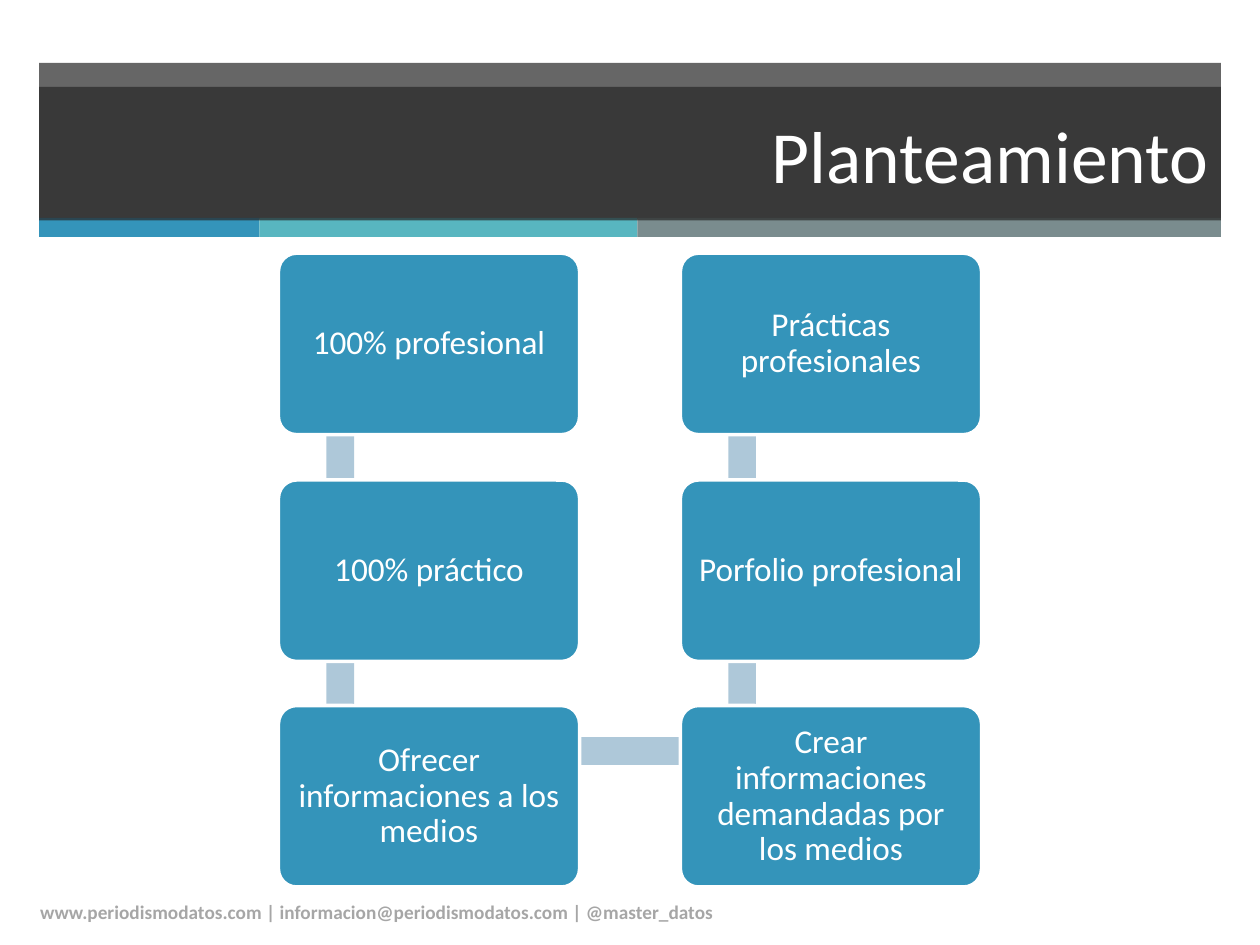
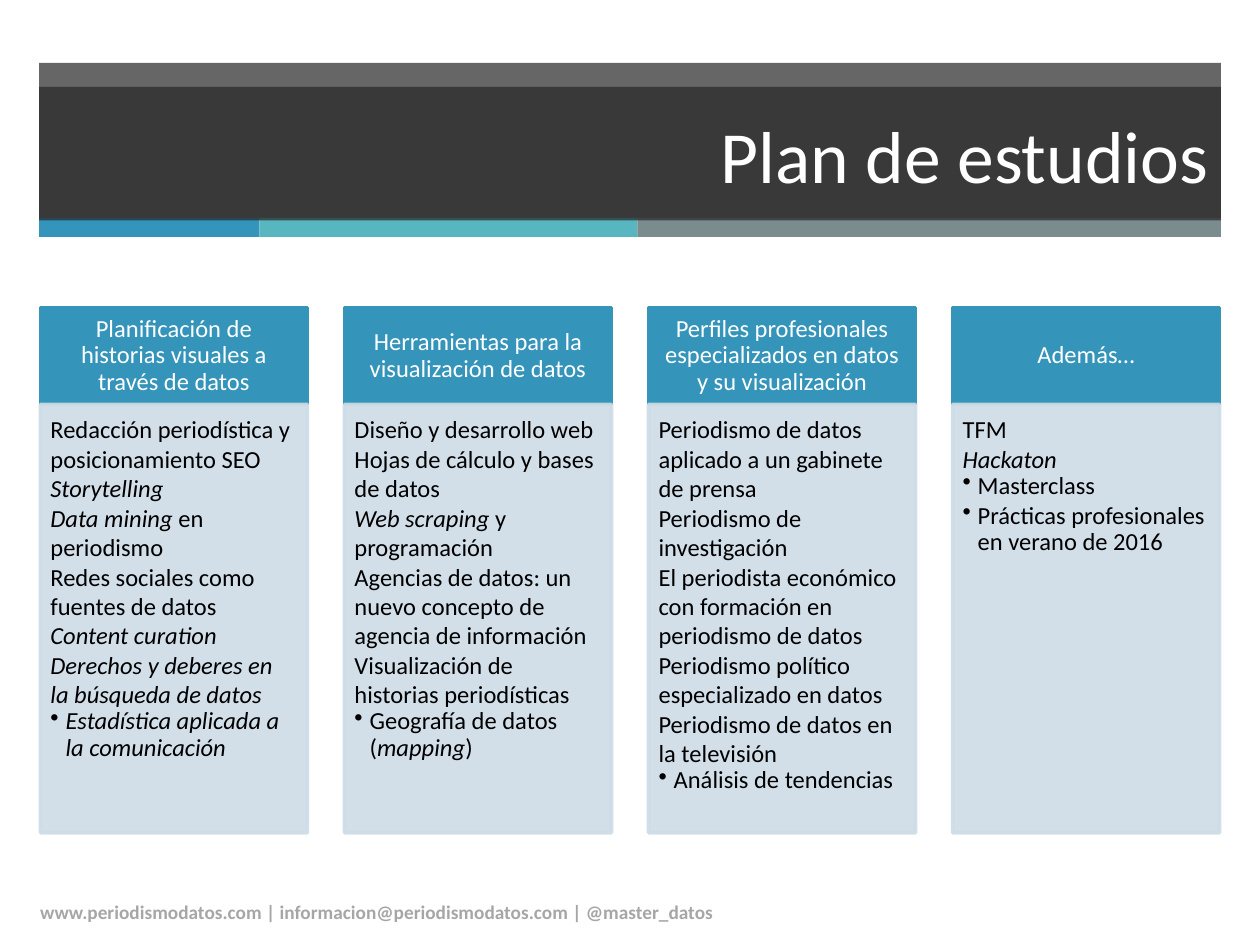
"""Build two slides that present the approach and syllabus of a data journalism course."""
from lxml.etree import SubElement
from pptx import Presentation
from pptx.dml.color import RGBColor
from pptx.enum.shapes import MSO_SHAPE
from pptx.enum.text import MSO_ANCHOR, PP_ALIGN
from pptx.oxml.ns import qn
from pptx.util import Inches, Pt

FLOW_TITLE = "Planteamiento"
FLOW_COLUMNS = [
    ["100% profesional", "100% práctico", "Ofrecer informaciones a los medios"],
    ["Prácticas profesionales", "Porfolio profesional",
     "Crear informaciones demandadas por los medios"],
]
SYLLABUS_TITLE = "Plan de estudios"
SYLLABUS = [
    {"heading": "Planificación de historias visuales a través de datos",
     "plain": ["Redacción periodística y posicionamiento SEO", "*Storytelling*",
               "*Data mining* en periodismo", "Redes sociales como fuentes de datos",
               "*Content curation*", "*Derechos y deberes en la búsqueda de datos*"],
     "bulleted": ["*Estadística aplicada a la comunicación*"]},
    {"heading": "Herramientas para la visualización de datos",
     "plain": ["Diseño y desarrollo web", "Hojas de cálculo y bases de datos",
               "*Web scraping* y programación",
               "Agencias de datos: un nuevo concepto de agencia de información",
               "Visualización de historias periodísticas"],
     "bulleted": ["Geografía de datos (*mapping*)"]},
    {"heading": "Perfiles profesionales especializados en datos y su visualización",
     "plain": ["Periodismo de datos aplicado a un gabinete de prensa",
               "Periodismo de investigación",
               "El periodista económico con formación en periodismo de datos",
               "Periodismo político especializado en datos",
               "Periodismo de datos en la televisión"],
     "bulleted": ["Análisis de tendencias"]},
    {"heading": "Además…",
     "plain": ["TFM", "*Hackaton*"],
     "bulleted": ["Masterclass", "Prácticas profesionales en verano de 2016"]},
]
FOOTER = "www.periodismodatos.com | informacion@periodismodatos.com | @master_datos"

FONT = "Calibri"
WHITE = RGBColor(0xFF, 0xFF, 0xFF)
BLACK = RGBColor(0x00, 0x00, 0x00)
CHARCOAL = RGBColor(0x26, 0x26, 0x26)
BLUE = RGBColor(0x34, 0x94, 0xBA)
TEAL = RGBColor(0x58, 0xB6, 0xC0)
SLATE = RGBColor(0x7A, 0x8C, 0x8E)
LINK_BLUE = RGBColor(0xAE, 0xC8, 0xD9)
PALE_BLUE = RGBColor(0xCE, 0xDC, 0xE7)
FOOTER_GRAY = RGBColor(0xA6, 0xA6, 0xA6)

MARGIN, BAND_WIDTH = 0.31, 9.38
STRIPES = [(1.75, BLUE), (3, TEAL), (4.63, SLATE)]
FLOW_LEFTS, FLOW_TOPS = (2.21, 5.4), (2.01, 3.81, 5.6)
STEP_WIDTH, STEP_HEIGHT = 2.39, 1.44
LINK_THICKNESS, LINK_INSET, LINK_DROP = 0.22, 0.38, 0.35
COURSE_LEFT, COURSE_SPAN, COURSE_WIDTH = 0.32, 9.36, 2.12
HEADING_TOP, HEADING_HEIGHT, BODY_HEIGHT = 2.44, 0.77, 3.4


def set_opacity(shape, percent):
    for colour in shape.element.spPr.iter(qn("a:srgbClr")):
        SubElement(colour, qn("a:alpha"), val=str(percent * 1000))


def add_block(page, kind, place, fill, line=None):
    block = page.shapes.add_shape(kind, *map(Inches, place))
    block.shadow.inherit = False
    block.fill.solid()
    block.fill.fore_color.rgb = fill
    if line is None:
        block.line.fill.background()
    else:
        block.line.color.rgb = line
        block.line.width = Pt(2)
    return block


def set_insets(frame, left, top, right, bottom):
    frame.word_wrap = True
    frame.margin_left, frame.margin_top = Inches(left), Inches(top)
    frame.margin_right, frame.margin_bottom = Inches(right), Inches(bottom)


def style(paragraph, size, colour, align=PP_ALIGN.LEFT, spacing=1.0):
    paragraph.alignment = align
    paragraph.line_spacing = spacing
    paragraph.font.name = FONT
    paragraph.font.size = Pt(size)
    paragraph.font.color.rgb = colour


def write_label(block, text, size):
    block.text_frame.vertical_anchor = MSO_ANCHOR.MIDDLE
    block.text_frame.text = text
    style(block.text_frame.paragraphs[0], size, WHITE, PP_ALIGN.CENTER, 0.9)


def write_marked(paragraph, text):
    for index, part in enumerate(text.split("*")):
        if part:
            span = paragraph.add_run()
            span.text = part
            if index % 2:
                span.font.italic = True


def add_bullet(paragraph):
    properties = paragraph._p.get_or_add_pPr()
    properties.set("marL", str(Inches(0.12)))
    properties.set("indent", str(-Inches(0.12)))
    SubElement(properties, qn("a:buChar"), char="•")


def start_page(deck, title):
    page = deck.slides.add_slide(deck.slide_layouts[5])
    band = add_block(page, MSO_SHAPE.RECTANGLE, (MARGIN, 0.5, BAND_WIDTH, 1.24), CHARCOAL)
    set_opacity(band, 70)
    left = MARGIN
    for width, colour in STRIPES:
        add_block(page, MSO_SHAPE.RECTANGLE, (left, 1.73, width, 0.15), colour)
        left += width

    heading = page.shapes.title
    heading.element.getparent().append(heading.element)
    heading.left, heading.top = Inches(MARGIN), Inches(0.69)
    heading.width, heading.height = Inches(BAND_WIDTH), Inches(1.06)
    heading.fill.solid()
    heading.fill.fore_color.rgb = CHARCOAL
    set_opacity(heading, 70)
    heading.text_frame.text = title
    heading.text_frame.vertical_anchor = MSO_ANCHOR.MIDDLE
    style(heading.text_frame.paragraphs[0], 42, WHITE, PP_ALIGN.RIGHT)

    footer = page.shapes.add_textbox(Inches(0.22), Inches(7.04), Inches(6.7), Inches(0.4))
    footer.text_frame.word_wrap = True
    footer.text_frame.vertical_anchor = MSO_ANCHOR.MIDDLE
    footer.text_frame.text = FOOTER
    paragraph = footer.text_frame.paragraphs[0]
    style(paragraph, 11, FOOTER_GRAY)
    paragraph.font.bold = True
    return page


def build_flow(deck):
    page = start_page(deck, FLOW_TITLE)
    links = [(left + LINK_INSET, top + LINK_DROP, LINK_THICKNESS, 1.79)
             for left in FLOW_LEFTS for top in FLOW_TOPS[:-1]]
    links.append((FLOW_LEFTS[0] + 0.49, FLOW_TOPS[-1] + 0.25, 3.17, LINK_THICKNESS))
    for place in links:
        add_block(page, MSO_SHAPE.RECTANGLE, place, LINK_BLUE)
    for left, steps in zip(FLOW_LEFTS, FLOW_COLUMNS):
        for top, text in zip(FLOW_TOPS, steps):
            step = add_block(page, MSO_SHAPE.ROUNDED_RECTANGLE,
                             (left, top, STEP_WIDTH, STEP_HEIGHT), BLUE, WHITE)
            step.adjustments[0] = 0.1
            set_insets(step.text_frame, 0.08, 0.08, 0.08, 0.08)
            write_label(step, text, 19)


def build_syllabus(deck):
    page = start_page(deck, SYLLABUS_TITLE)
    pitch = (COURSE_SPAN - COURSE_WIDTH) / (len(SYLLABUS) - 1)
    for index, course in enumerate(SYLLABUS):
        left = COURSE_LEFT + index * pitch
        heading = add_block(page, MSO_SHAPE.RECTANGLE,
                            (left, HEADING_TOP, COURSE_WIDTH, HEADING_HEIGHT), BLUE, BLUE)
        set_insets(heading.text_frame, 0.11, 0.06, 0.11, 0.06)
        write_label(heading, course["heading"], 14)

        body = add_block(page, MSO_SHAPE.RECTANGLE,
                         (left, HEADING_TOP + HEADING_HEIGHT, COURSE_WIDTH, BODY_HEIGHT),
                         PALE_BLUE, PALE_BLUE)
        set_opacity(body, 90)
        frame = body.text_frame
        set_insets(frame, 0.08, 0.08, 0.11, 0.12)
        frame.vertical_anchor = MSO_ANCHOR.TOP
        subjects = course["plain"] + course["bulleted"]
        for position, subject in enumerate(subjects):
            paragraph = frame.add_paragraph() if position else frame.paragraphs[0]
            bulleted = position >= len(course["plain"])
            if bulleted:
                add_bullet(paragraph)
                paragraph.space_after = Pt(2)
            write_marked(paragraph, subject)
            style(paragraph, 14, BLACK, spacing=0.9 if bulleted else 1.0)


def main():
    deck = Presentation()
    deck.slide_width, deck.slide_height = Inches(10), Inches(7.5)
    build_flow(deck)
    build_syllabus(deck)
    deck.save("out.pptx")


if __name__ == "__main__":
    main()
